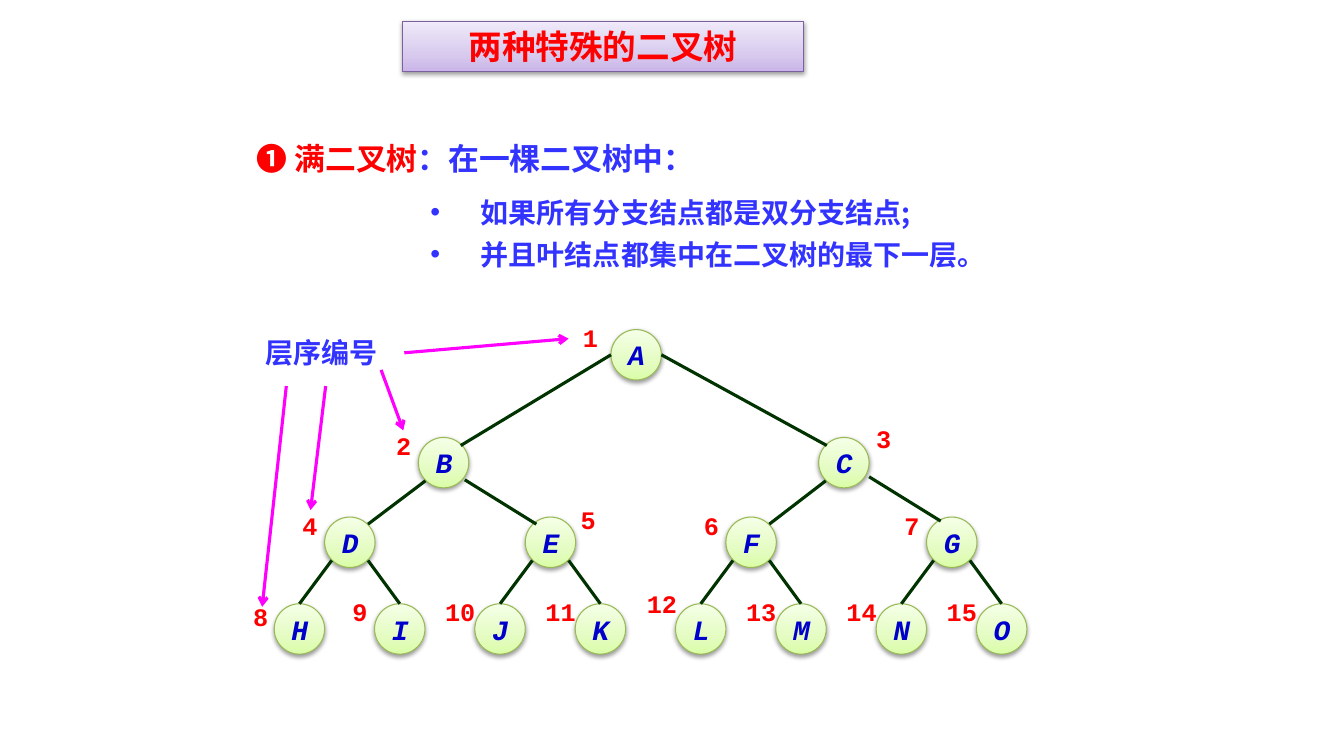
from lxml.etree import SubElement
from pptx import Presentation
from pptx.dml.color import RGBColor
from pptx.enum.shapes import MSO_CONNECTOR, MSO_SHAPE
from pptx.enum.text import MSO_ANCHOR, MSO_AUTO_SIZE, PP_ALIGN
from pptx.oxml.ns import qn
from pptx.util import Inches, Pt

CJK, MONO = "Noto Sans CJK SC", "Courier New"
RED, BLUE, NAVY = "FF0000", "3333FF", "0000CC"
EDGE, ARROW = "003300", "FF00FF"
GREEN = ("DAFDA7", "E4FCC2", "F5FFE7")
PURPLE = ("C9B5E8", "D8CBEE", "F0EAF9")

NODE = 0.5
# letters, left of the first node, pitch, top
LEVELS = [
    ("A", 6.06, 0, 3.27),
    ("BC", 4.15, 3.97, 4.34),
    ("DEFG", 3.22, 1.99, 5.13),
    ("HIJKLMNO", 2.72, 0.995, 5.99),
]
# Number label offset from its node
LABEL_OFFSET = (-0.36, -0.07)
SPECIAL_OFFSETS = {1: (-0.42, -0.07), 3: (0.43, -0.14), 5: (0.41, -0.13),
                   8: (-0.35, -0.02), 12: (-0.35, -0.15)}
# Left and right branch of each level: offset in the parent, offset in the child
BRANCHES = [
    (((0, 0.25), (0.42, 0.08)), ((0.5, 0.25), (0.08, 0.08))),
    (((0.07, 0.43), (0.43, 0.07)), ((0.46, 0.42), (0.11, 0.07))),
    (((0.07, 0.43), (0.25, 0)), ((0.43, 0.43), (0.25, 0))),
]
SPECIAL_BRANCHES = {7: ((0.5, 0.39), (0.14, 0.04))}
POINTERS = [
    ((4.01, 3.5), (5.64, 3.36)),
    ((3.78, 3.67), (4, 4.27)),
    ((3.23, 3.83), (3.08, 5.06)),
    ((2.84, 3.83), (2.6, 6.02)),
]


def rgb(value):
    return RGBColor.from_string(value)


class TreeSlide:
    """Holds the current slide and the look of its elements."""

    def __init__(self, prs):
        self.slide = prs.slides.add_slide(prs.slide_layouts[5])
        self.shapes = self.slide.shapes

    def run(self, paragraph, text, size, color, font=CJK, italic=False):
        run = paragraph.add_run()
        run.text = text
        run.font.size, run.font.name = Pt(size), font
        run.font.bold, run.font.italic = True, italic
        run.font.color.rgb = rgb(color)
        if font == CJK:
            SubElement(run.font._element, qn("a:ea"), typeface=font)

    def glossy(self, shape, colors, outline):
        """Give a shape its upward gradient, thin outline and soft shadow."""
        shape.fill.gradient()
        shape.fill.gradient_angle = 90
        stops = shape.fill._xPr.find(qn("a:gradFill")).find(qn("a:gsLst"))
        for stop in list(stops):
            stops.remove(stop)
        for position, color in zip((0, 35000, 100000), colors):
            stop = SubElement(stops, qn("a:gs"), pos=str(position))
            SubElement(stop, qn("a:srgbClr"), val=color)
        shape.line.color.rgb = rgb(outline)
        shape.line.width = Pt(0.75)
        shape.shadow.inherit = False
        effects = shape._element.spPr.find(qn("a:effectLst"))
        shadow = SubElement(effects, qn("a:outerShdw"), blurRad="40000",
                            dist="20000", dir="5400000", rotWithShape="0")
        black = SubElement(shadow, qn("a:srgbClr"), val="000000")
        SubElement(black, qn("a:alpha"), val="38000")

    def title(self, text, left, top, width, height):
        title = self.shapes.title
        title.left, title.top = Inches(left), Inches(top)
        title.width, title.height = Inches(width), Inches(height)
        self.glossy(title, PURPLE, "7D60A0")
        frame = title.text_frame
        frame.auto_size = MSO_AUTO_SIZE.NONE
        frame.vertical_anchor = MSO_ANCHOR.MIDDLE
        frame.paragraphs[0].alignment = PP_ALIGN.CENTER
        self.run(frame.paragraphs[0], text, 24, RED)

    def text_box(self, left, top, width, height, anchor=MSO_ANCHOR.MIDDLE):
        box = self.shapes.add_textbox(Inches(left), Inches(top),
                                      Inches(width), Inches(height))
        box.text_frame.word_wrap = True
        box.text_frame.vertical_anchor = anchor
        return box.text_frame

    def bullets(self, items, left, top, width, height):
        frame = self.text_box(left, top, width, height, MSO_ANCHOR.TOP)
        for index, item in enumerate(items):
            paragraph = frame.add_paragraph() if index else frame.paragraphs[0]
            paragraph.line_spacing = 1.26
            props = paragraph._p.get_or_add_pPr()
            props.set("marL", str(Inches(0.5)))
            props.set("indent", str(-Inches(0.5)))
            SubElement(props, qn("a:buFont"), typeface="Arial")
            SubElement(props, qn("a:buChar"), char="•")
            self.run(paragraph, item, 20, BLUE)

    def node(self, letter, left, top):
        circle = self.shapes.add_shape(MSO_SHAPE.OVAL, Inches(left), Inches(top),
                                       Inches(NODE), Inches(NODE))
        self.glossy(circle, GREEN, "98B955")
        circle.text_frame.vertical_anchor = MSO_ANCHOR.MIDDLE
        paragraph = circle.text_frame.paragraphs[0]
        paragraph.alignment = PP_ALIGN.CENTER
        self.run(paragraph, letter, 20, NAVY, MONO, italic=True)

    def number(self, value, left, top):
        frame = self.text_box(left, top, 0.43, 0.31, MSO_ANCHOR.TOP)
        frame.margin_left = frame.margin_right = 0
        frame.margin_top = frame.margin_bottom = 0
        frame.paragraphs[0].alignment = PP_ALIGN.CENTER
        self.run(frame.paragraphs[0], str(value), 18, RED, MONO)

    def line(self, start, end, color, arrow=False):
        points = [Inches(value) for value in (*start, *end)]
        line = self.shapes.add_connector(MSO_CONNECTOR.STRAIGHT, *points)
        line.line.color.rgb = rgb(color)
        line.line.width = Pt(2.25)
        if arrow:
            SubElement(line.line._get_or_add_ln(), qn("a:tailEnd"), type="arrow")
        SubElement(line._element.spPr, qn("a:effectLst"))


def shift(point, offset):
    return point[0] + offset[0], point[1] + offset[1]


def draw_tree(page):
    places = {}
    for letters, left, pitch, top in LEVELS:
        for column, letter in enumerate(letters):
            number = len(places) + 1
            places[number] = (left + column * pitch, top)
            page.node(letter, *places[number])
            offset = SPECIAL_OFFSETS.get(number, LABEL_OFFSET)
            page.number(number, *shift(places[number], offset))
    for child in range(2, len(places) + 1):
        parent, side = divmod(child, 2)
        branch = BRANCHES[parent.bit_length() - 1][side]
        start, end = SPECIAL_BRANCHES.get(child, branch)
        page.line(shift(places[parent], start), shift(places[child], end), EDGE)


def main():
    prs = Presentation()
    prs.slide_width, prs.slide_height = Inches(13.33), Inches(7.5)
    page = TreeSlide(prs)
    page.title("两种特殊的二叉树", 3.99, 0.21, 3.98, 0.5)

    definition = page.text_box(2.45, 1.33, 5.55, 0.47).paragraphs[0]
    page.run(definition, "❶ 满二叉树", 22, RED)
    page.run(definition, "：在一棵二叉树中：", 22, BLUE)
    page.bullets(["如果所有分支结点都是双分支结点;",
                  "并且叶结点都集中在二叉树的最下一层。"], 4.17, 1.8, 6.48, 1.05)

    draw_tree(page)

    caption = page.text_box(2.53, 3.28, 1.48, 0.44).paragraphs[0]
    page.run(caption, "层序编号", 20, BLUE, MONO)
    for start, end in POINTERS:
        page.line(start, end, ARROW, arrow=True)
    prs.save("out.pptx")


if __name__ == "__main__":
    main()
